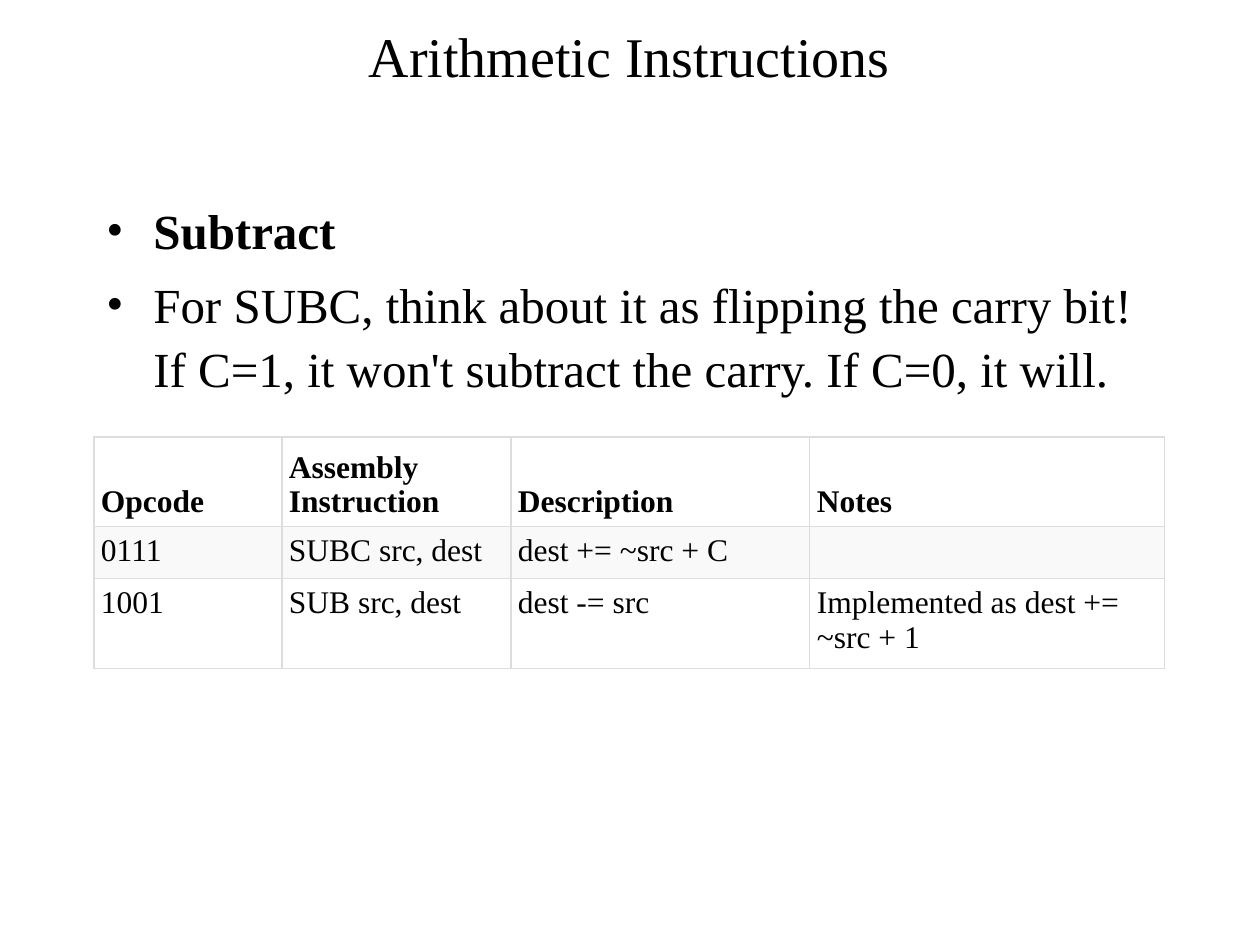
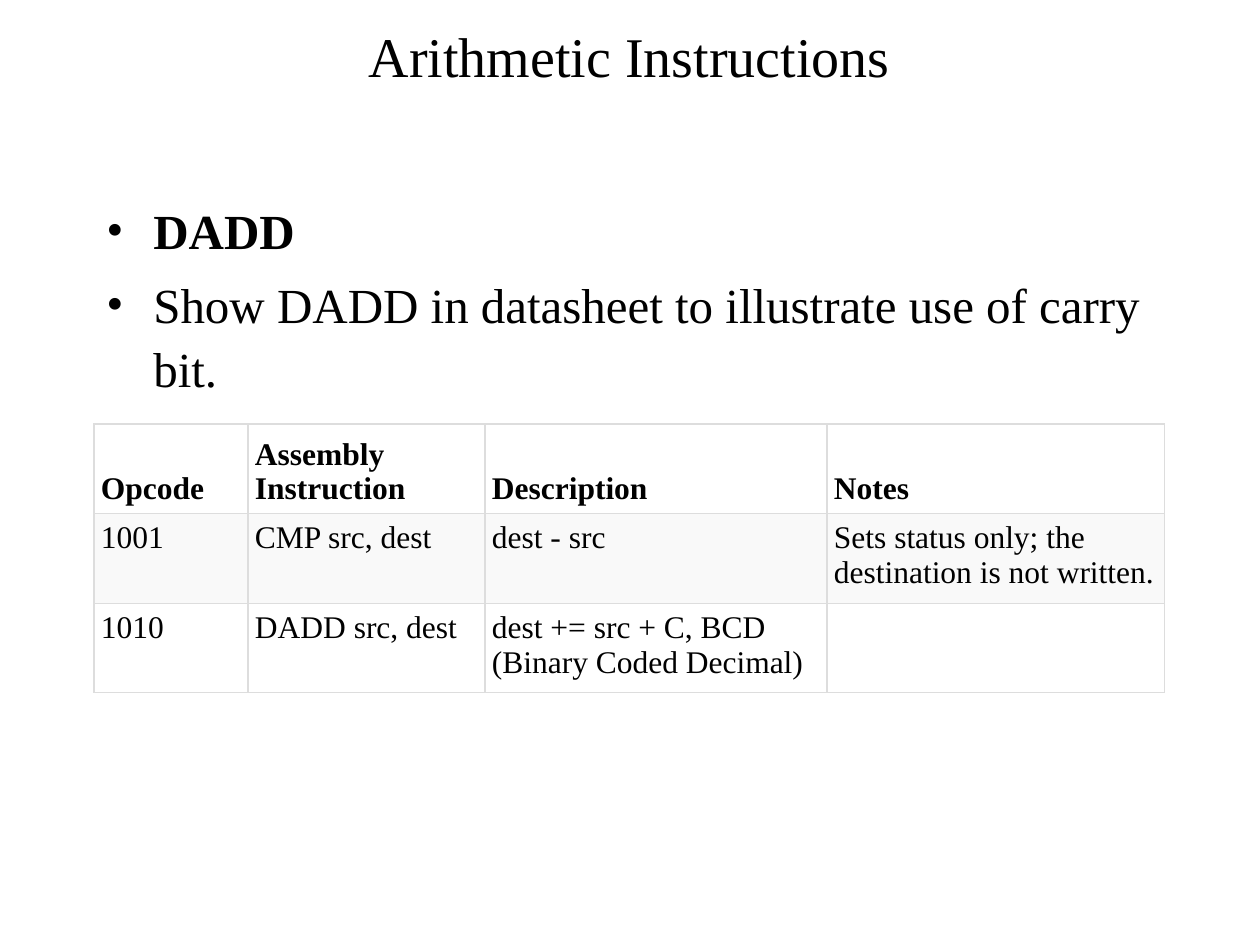
from lxml import etree
from pptx import Presentation
from pptx.dml.color import RGBColor
from pptx.enum.text import MSO_ANCHOR, PP_ALIGN
from pptx.oxml.ns import qn
from pptx.util import Pt

MID, LOW, TOP = MSO_ANCHOR.MIDDLE, MSO_ANCHOR.BOTTOM, MSO_ANCHOR.TOP
CENTER, LEFT = PP_ALIGN.CENTER, PP_ALIGN.LEFT

# Content
TITLE = "Arithmetic Instructions"
HEAD = ("Opcode", "Assembly Instruction", "Description", "Notes")
PAGES = [
    {
        "points": ["Subtract",
                   "For SUBC, think about it as flipping the carry bit! "
                   "If C=1, it won't subtract the carry. If C=0, it will."],
        "top": 437,
        "cols": (188, 229, 299, 355),
        "rows": [("0111", "SUBC src, dest", "dest += ~src + C", ""),
                 ("1001", "SUB src, dest", "dest -= src",
                  "Implemented as dest += ~src + 1")],
        "highs": (85, 49, 85),
    },
    {
        "points": ["DADD",
                   "Show DADD in datasheet to illustrate use of carry bit."],
        "top": 424,
        "cols": (154, 237, 342, 338),
        "rows": [("1001", "CMP src, dest", "dest - src",
                  "Sets status only; the destination is not written."),
                 ("1010", "DADD src, dest",
                  "dest += src + C, BCD (Binary Coded Decimal)", "")],
        "highs": (84, 84, 85),
    },
]

# Shared style
FONT = "Times New Roman"
BLACK = RGBColor(0x00, 0x00, 0x00)
WHITE = RGBColor(0xFF, 0xFF, 0xFF)
PALE = RGBColor(0xF9, 0xF9, 0xF9)
RULE = RGBColor(0xDD, 0xDD, 0xDD)
EDGE, WIDE = 94, 1071
INDENT, PAD = 47, 7
LEAD = 1.09


def px(n):
    return n * 914400 // 126


def style(para, size, bold=False):
    for run in para.runs:
        font = run.font
        font.name, font.size, font.bold = FONT, Pt(size), bold
        font.color.rgb = BLACK


def add_box(slide, top, high, lines, anchor, align):
    box = slide.shapes.add_textbox(px(EDGE), px(top), px(WIDE), px(high))
    frame = box.text_frame
    frame.word_wrap = True
    frame.vertical_anchor = anchor
    frame.text = "\n".join(lines)
    for para in frame.paragraphs:
        para.alignment = align
        para.line_spacing = LEAD
    return frame.paragraphs


def add_bullet(para):
    props = para._p.get_or_add_pPr()
    props.set("marL", str(px(INDENT)))
    props.set("indent", str(-px(INDENT)))
    etree.SubElement(props, qn("a:buFont"), typeface=FONT)
    etree.SubElement(props, qn("a:buChar"), char="•")


def add_border(cell):
    # Borders come before the fill in the cell properties
    props = cell._tc.get_or_add_tcPr()
    for spot, side in enumerate(("lnL", "lnR", "lnT", "lnB")):
        line = etree.Element(qn("a:" + side), w=str(Pt(0.75)))
        fill = etree.SubElement(line, qn("a:solidFill"))
        etree.SubElement(fill, qn("a:srgbClr"), val=str(RULE))
        props.insert(spot, line)


def add_grid(slide, page):
    rows = [HEAD] + page["rows"]
    grid = slide.shapes.add_table(
        len(rows), len(HEAD), px(EDGE), px(page["top"]),
        px(sum(page["cols"])), px(sum(page["highs"]))).table
    for col, wide in zip(grid.columns, page["cols"]):
        col.width = px(wide)
    for r, (row, high) in enumerate(zip(rows, page["highs"])):
        grid.rows[r].height = px(high)
        for c, text in enumerate(row):
            cell = grid.cell(r, c)
            cell.text = text
            cell.vertical_anchor = TOP if r else LOW
            cell.margin_left = cell.margin_right = px(PAD)
            cell.margin_top = cell.margin_bottom = px(PAD)
            cell.fill.solid()
            cell.fill.fore_color.rgb = PALE if r % 2 else WHITE
            add_border(cell)
            style(cell.text_frame.paragraphs[0], 18, r == 0)


def main():
    deck = Presentation()
    deck.slide_width, deck.slide_height = px(1260), px(945)
    for page in PAGES:
        slide = deck.slides.add_slide(deck.slide_layouts[6])
        # Title
        for para in add_box(slide, 21, 63, [TITLE], MID, CENTER):
            style(para, 32)
        # Bullets: a bold topic, then a remark
        paras = add_box(slide, 189, 651, page["points"], TOP, LEFT)
        for i, para in enumerate(paras):
            if i:
                para.space_before = Pt(5.6)
            add_bullet(para)
            style(para, 28, i == 0)
        # Opcode table
        add_grid(slide, page)
    deck.save("out.pptx")


if __name__ == "__main__":
    main()
